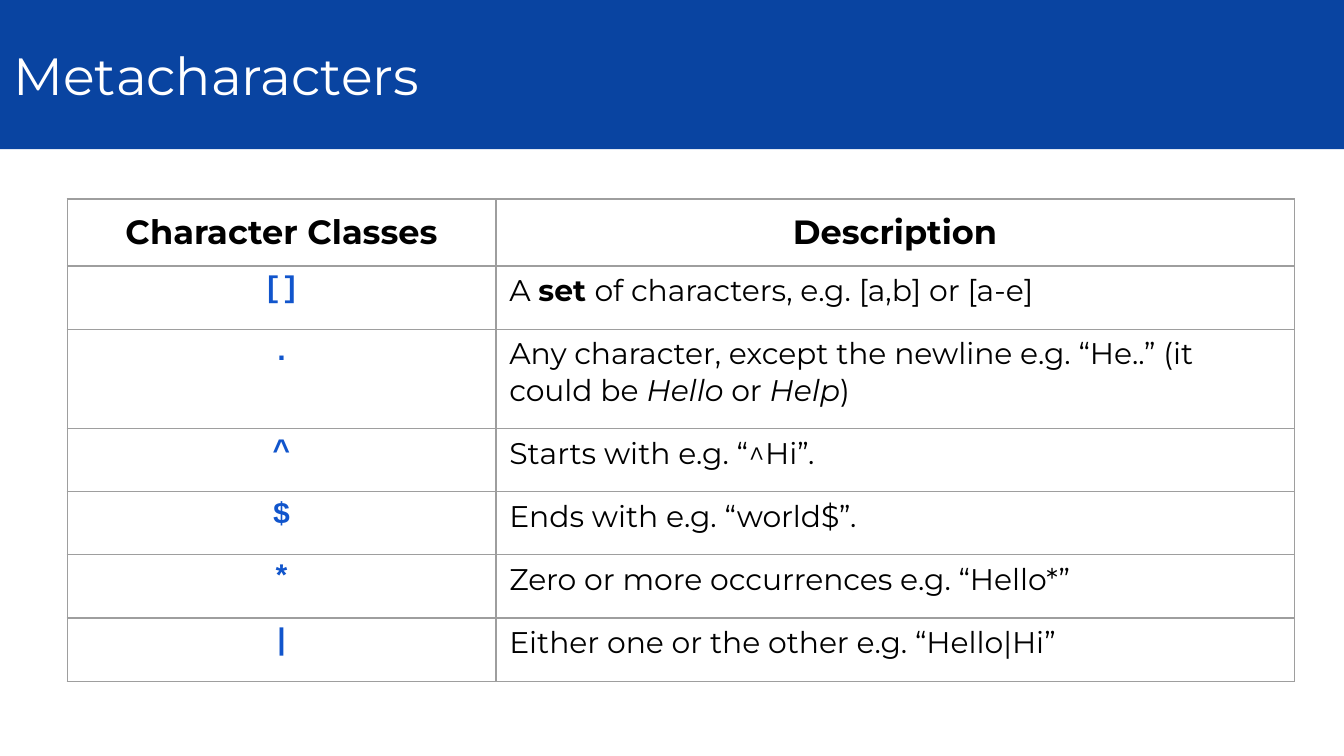
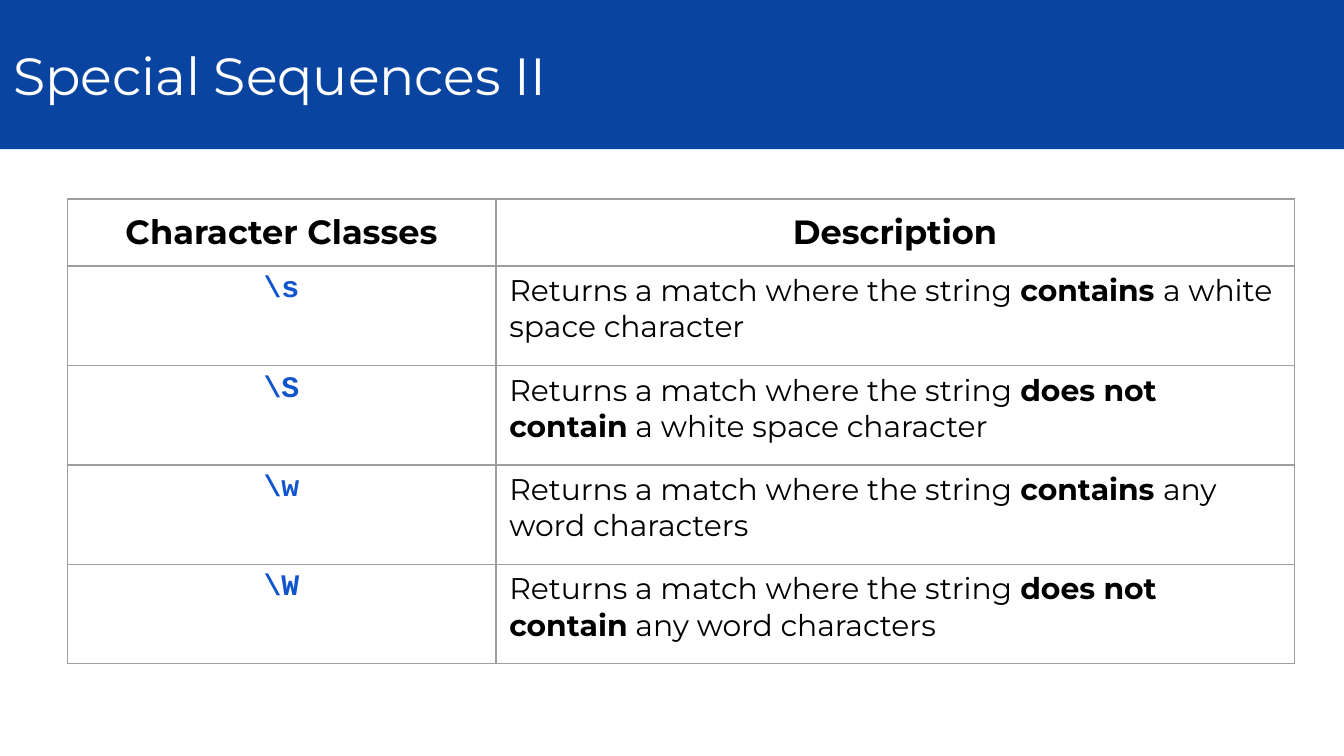
from lxml.etree import SubElement
from pptx import Presentation
from pptx.dml.color import RGBColor
from pptx.enum.text import MSO_ANCHOR as Anchor, MSO_AUTO_SIZE as AutoSize, PP_ALIGN as Align
from pptx.oxml.ns import qn
from pptx.util import Inches, Pt

# Shared look
BLUE, CODE_BLUE, WHITE, BLACK, GREY = "0944A1", "1155CC", "FFFFFF", "000000", "9E9E9E"
BODY_FONT, CODE_FONT = "Montserrat", "Courier New"
WIDTH = 10
HEIGHT = WIDTH * 9 / 16
BAND_HEIGHT = 1.11
TABLE_LEFT, TABLE_TOP = 0.5, 1.48
COLUMNS = (3.19, 5.94)
HEADER_ROW, ONE_LINE, TWO_LINES = 0.5, 0.47, 0.74
HEADINGS = ("Character Classes", "Description")

# Each row: height, symbol, description as (text, style) spans
MATCH = ("Returns a match where the string ", "")
SLIDES = {
    "Metacharacters": [
        (ONE_LINE, "[]", [("A ", ""), ("set ", "bold"),
                          ("of characters, e.g. [a,b] or [a-e]", "")]),
        (TWO_LINES, ".", [("Any character, except the newline e.g. “He..” (it could be ", ""),
                          ("Hello ", "italic"), ("or ", ""), ("Help", "italic"), (")", "")]),
        (ONE_LINE, "^", [("Starts with e.g. “^Hi”.", "")]),
        (ONE_LINE, "$", [("Ends with e.g. “world$”.", "")]),
        (ONE_LINE, "*", [("Zero or more occurrences e.g. “Hello*”", "")]),
        (ONE_LINE, "|", [("Either one or the other e.g. “Hello|Hi”", "")]),
    ],
    "Special Sequences II": [
        (TWO_LINES, "\\s", [MATCH, ("contains ", "bold"), ("a white space character", "")]),
        (TWO_LINES, "\\S", [MATCH, ("does not contain", "bold"),
                            (" a white space character", "")]),
        (TWO_LINES, "\\w", [MATCH, ("contains ", "bold"), ("any word characters", "")]),
        (TWO_LINES, "\\W", [MATCH, ("does not contain", "bold"), (" any word characters", "")]),
    ],
}


def add_spans(para, spans, size, color, font=BODY_FONT, align=Align.LEFT):
    para.alignment = align
    for text, style in spans:
        span = para.add_run()
        span.text = text
        span.font.name = font
        span.font.size = Pt(size)
        span.font.color.rgb = RGBColor.from_string(color)
        span.font.bold = style == "bold"
        span.font.italic = style == "italic"


def format_cell(cell, anchor):
    cell.vertical_anchor = anchor
    cell.margin_left = cell.margin_right = Inches(0.1)
    cell.margin_top = cell.margin_bottom = Inches(0.05)
    properties = cell._tc.get_or_add_tcPr()
    for side in ("a:lnL", "a:lnR", "a:lnT", "a:lnB"):
        line = SubElement(properties, qn(side), w=str(Pt(0.75)))
        SubElement(SubElement(line, qn("a:solidFill")), qn("a:srgbClr"), val=GREY)
    cell.fill.background()


deck = Presentation()
deck.slide_width, deck.slide_height = Inches(WIDTH), Inches(HEIGHT)
title_only = deck.slide_layouts[5]

for heading, rows in SLIDES.items():
    page = deck.slides.add_slide(title_only)

    # Title band
    title = page.shapes.title
    title.left, title.top = 0, 0
    title.width, title.height = deck.slide_width, Inches(BAND_HEIGHT)
    title.fill.solid()
    title.fill.fore_color.rgb = RGBColor.from_string(BLUE)
    frame = title.text_frame
    frame.auto_size = AutoSize.NONE
    frame.vertical_anchor = Anchor.MIDDLE
    frame.margin_left = frame.margin_right = Inches(0.1)
    frame.margin_top = frame.margin_bottom = Inches(0.1)
    add_spans(frame.paragraphs[0], [(heading, "")], 28, WHITE)

    # Table grid
    heights = [HEADER_ROW] + [row[0] for row in rows]
    table = page.shapes.add_table(
        len(heights), len(COLUMNS), Inches(TABLE_LEFT), Inches(TABLE_TOP),
        Inches(sum(COLUMNS)), Inches(sum(heights))).table
    table.first_row = table.horz_banding = False
    for column, width in zip(table.columns, COLUMNS):
        column.width = Inches(width)
    for index, height in enumerate(heights):
        table.rows[index].height = Inches(height)
        for cell in table.rows[index].cells:
            format_cell(cell, Anchor.TOP if index else Anchor.MIDDLE)

    # Table text
    for cell, label in zip(table.rows[0].cells, HEADINGS):
        add_spans(cell.text_frame.paragraphs[0], [(label, "bold")], 18, BLACK,
                  align=Align.CENTER)
    for index, (_, symbol, description) in enumerate(rows, start=1):
        symbol_para, description_para = (
            cell.text_frame.paragraphs[0] for cell in table.rows[index].cells)
        add_spans(symbol_para, [(symbol, "bold")], 16, CODE_BLUE, CODE_FONT, Align.CENTER)
        add_spans(description_para, description, 16, BLACK)

deck.save("out.pptx")
